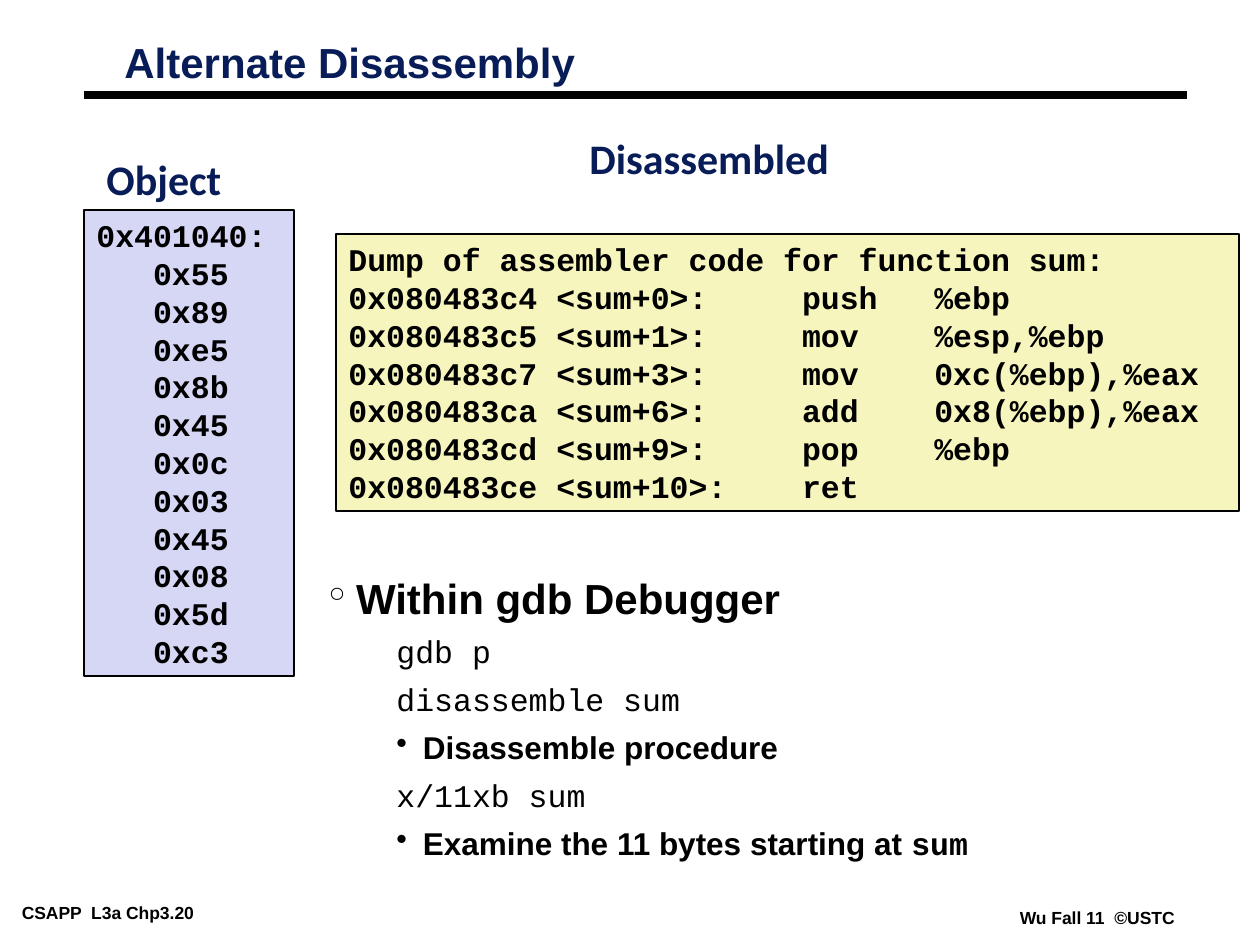
from lxml import etree
from pptx import Presentation
from pptx import util as u
from pptx.dml.color import RGBColor
from pptx.enum import shapes, text
from pptx.oxml.ns import qn

NAVY = RGBColor(0x08, 0x1D, 0x58)
BLACK = RGBColor(0, 0, 0)
YELLOW = RGBColor(0xF6, 0xF5, 0xBD)
LILAC = RGBColor(0xD6, 0xD6, 0xF5)
SCALE = u.Inches(1) / 126  # EMU per px

# Content
DUMP = [
    "Dump of assembler code for function sum:",
    "0x080483c4 <sum+0>:     push   %ebp",
    "0x080483c5 <sum+1>:     mov    %esp,%ebp",
    "0x080483c7 <sum+3>:     mov    0xc(%ebp),%eax",
    "0x080483ca <sum+6>:     add    0x8(%ebp),%eax",
    "0x080483cd <sum+9>:     pop    %ebp",
    "0x080483ce <sum+10>:    ret",
]
OBJECT_BYTES = "55 89 e5 8b 45 0c 03 45 08 5d c3".split()
OBJECT = ["0x401040:"] + ["   0x" + byte for byte in OBJECT_BYTES]
# Body paragraphs: kind, then runs of text and style
BODY = [
    ("topic", [("Within gdb Debugger", "topic")]),
    ("command", [("gdb p", "command")]),
    ("command", [("disassemble sum", "command")]),
    ("point", [("Disassemble procedure", "point")]),
    ("command", [("x/11xb sum", "command")]),
    ("point", [("Examine the 11 bytes starting at ", "point"), ("sum", "code")]),
]
FOOTERS = [
    ("CSAPP  L3a Chp3.20", (13, 898, 255, 28)),
    ("Wu Fall 11  ©USTC", (1011, 903, 174, 28)),
]

# Formats
FONTS = {
    "footer": dict(name="Arial", size=u.Pt(10), bold=True),
    "title": dict(name="Arial", size=u.Pt(24), bold=True),
    "heading": dict(name="Calibri", size=u.Pt(24), bold=True),
    "code": dict(name="Courier New", size=u.Pt(18), bold=True),
    "topic": dict(name="Arial", size=u.Pt(24), bold=True),
    "command": dict(name="Courier New", size=u.Pt(18), bold=False),
    "point": dict(name="Arial", size=u.Pt(18), bold=True),
}
# Bullet, left margin and hanging indent in inches
BULLETS = {
    "topic": ("°", 0.22, 0.22),
    "command": (None, 0.75, 0.21),
    "point": ("•", 0.75, 0.21),
}
SUB_PARAGRAPH = dict(level=1, line_spacing=0.85, space_before=u.Pt(9))
PARAGRAPHS = {
    "topic": dict(line_spacing=0.75),
    "command": SUB_PARAGRAPH,
    "point": SUB_PARAGRAPH,
    "title": dict(line_spacing=0.87),
}


def apply(target, values):
    for name, value in values.items():
        setattr(target, name, value)


def px(*lengths):
    return [round(length * SCALE) for length in lengths]


def set_bullet(para, mark, margin, hang):
    props = para._p.get_or_add_pPr()
    props.set("marL", str(u.Inches(margin)))
    props.set("indent", str(-u.Inches(hang)))
    if mark is None:
        etree.SubElement(props, qn("a:buNone"))
        return
    color = etree.SubElement(props, qn("a:buClr"))
    etree.SubElement(color, qn("a:srgbClr"), val=str(BLACK))
    etree.SubElement(props, qn("a:buChar"), char=mark)


def write(box, paragraphs, color=BLACK, **frame_format):
    frame = box.text_frame
    apply(frame, dict(word_wrap=True) | frame_format)
    for index, (kind, runs) in enumerate(paragraphs):
        para = frame.add_paragraph() if index else frame.paragraphs[0]
        apply(para, dict(alignment=text.PP_ALIGN.LEFT) | PARAGRAPHS.get(kind, {}))
        if kind in BULLETS:
            set_bullet(para, *BULLETS[kind])
        for words, style in runs:
            span = para.add_run()
            span.text = words
            apply(span.font, FONTS[style])
            span.font.color.rgb = color


def add_text(page, place, paragraphs, **formats):
    write(page.shapes.add_textbox(*px(*place)), paragraphs, **formats)


def add_line_of_text(page, place, words, style, **formats):
    add_text(page, place, [(style, [(words, style)])], **formats)


def add_code_panel(page, place, lines, fill):
    panel = page.shapes.add_shape(shapes.MSO_SHAPE.RECTANGLE, *px(*place))
    panel.shadow.inherit = False
    panel.fill.solid()
    panel.fill.fore_color.rgb = fill
    panel.line.color.rgb = BLACK
    panel.line.width = u.Pt(1)
    write(panel, [("code", [(line, "code")]) for line in lines],
          vertical_anchor=text.MSO_ANCHOR.TOP)


def main():
    deck = Presentation()
    deck.slide_width, deck.slide_height = u.Inches(10), u.Inches(7.5)
    page = deck.slides.add_slide(deck.slide_layouts[6])

    # Footers
    side, edge = u.Inches(0.07), u.Inches(0.03)
    for words, place in FOOTERS:
        add_line_of_text(page, place, words, "footer", word_wrap=False,
                         auto_size=text.MSO_AUTO_SIZE.SHAPE_TO_FIT_TEXT,
                         margin_left=side, margin_right=side,
                         margin_top=edge, margin_bottom=edge)

    # Title and its rule
    rule = page.shapes.add_connector(shapes.MSO_CONNECTOR.STRAIGHT,
                                     *px(84, 95, 1187, 95))
    rule.line.color.rgb = BLACK
    rule.line.width = u.Pt(4.5)
    etree.SubElement(rule._element.spPr, qn("a:effectLst"))
    add_line_of_text(page, (112, 37, 597, 57), "Alternate Disassembly", "title",
                     color=NAVY, vertical_anchor=text.MSO_ANCHOR.MIDDLE)

    # Disassembled code
    add_line_of_text(page, (577, 126, 359, 57), "Disassembled", "heading", color=NAVY)
    add_code_panel(page, (336, 234, 903, 277), DUMP, YELLOW)

    # Debugger notes
    add_text(page, (316, 578, 868, 341), BODY)

    # Object code
    add_line_of_text(page, (94, 147, 180, 57), "Object", "heading", color=NAVY)
    add_code_panel(page, (84, 210, 210, 466), OBJECT, LILAC)

    deck.save("out.pptx")


if __name__ == "__main__":
    main()
